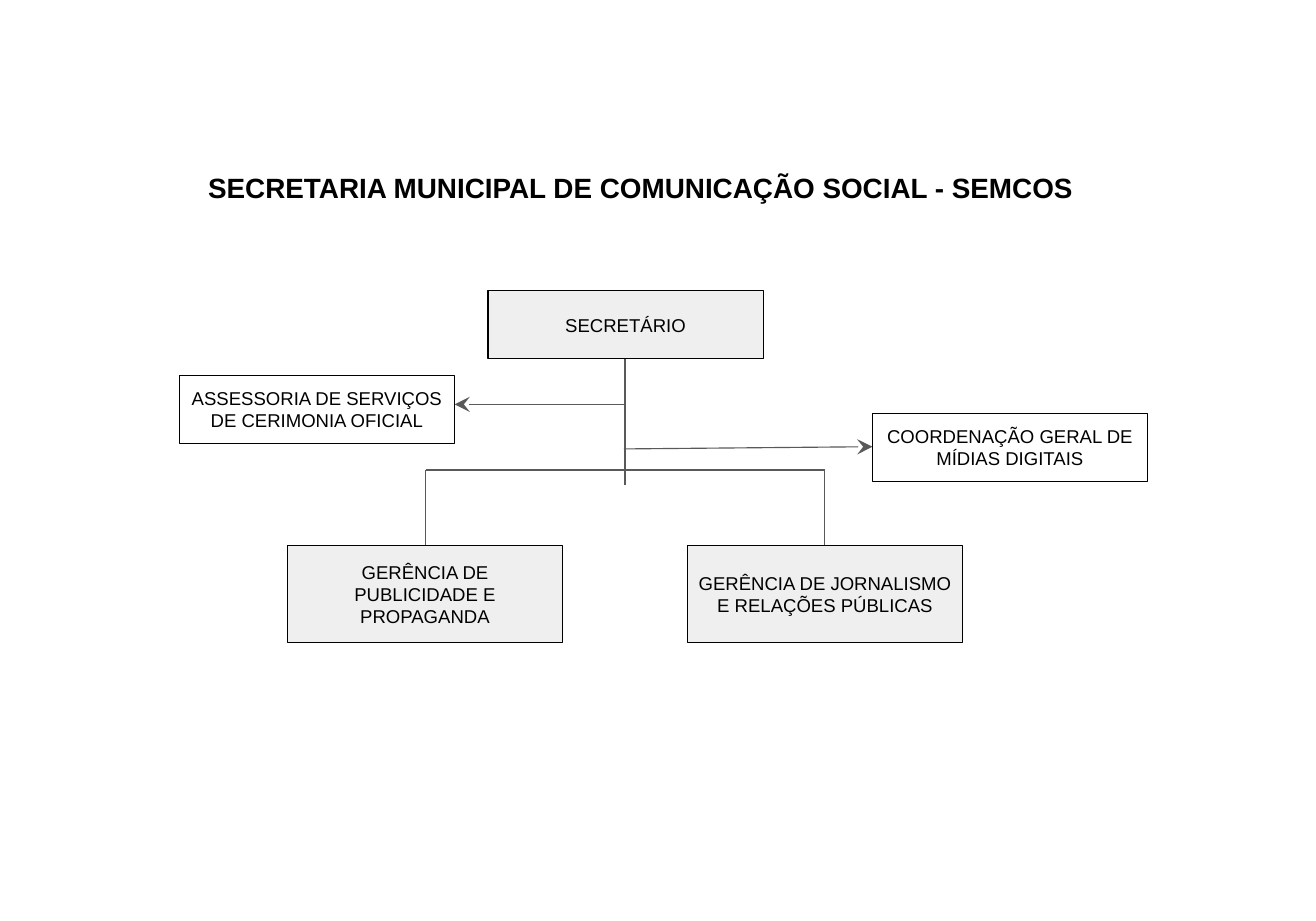
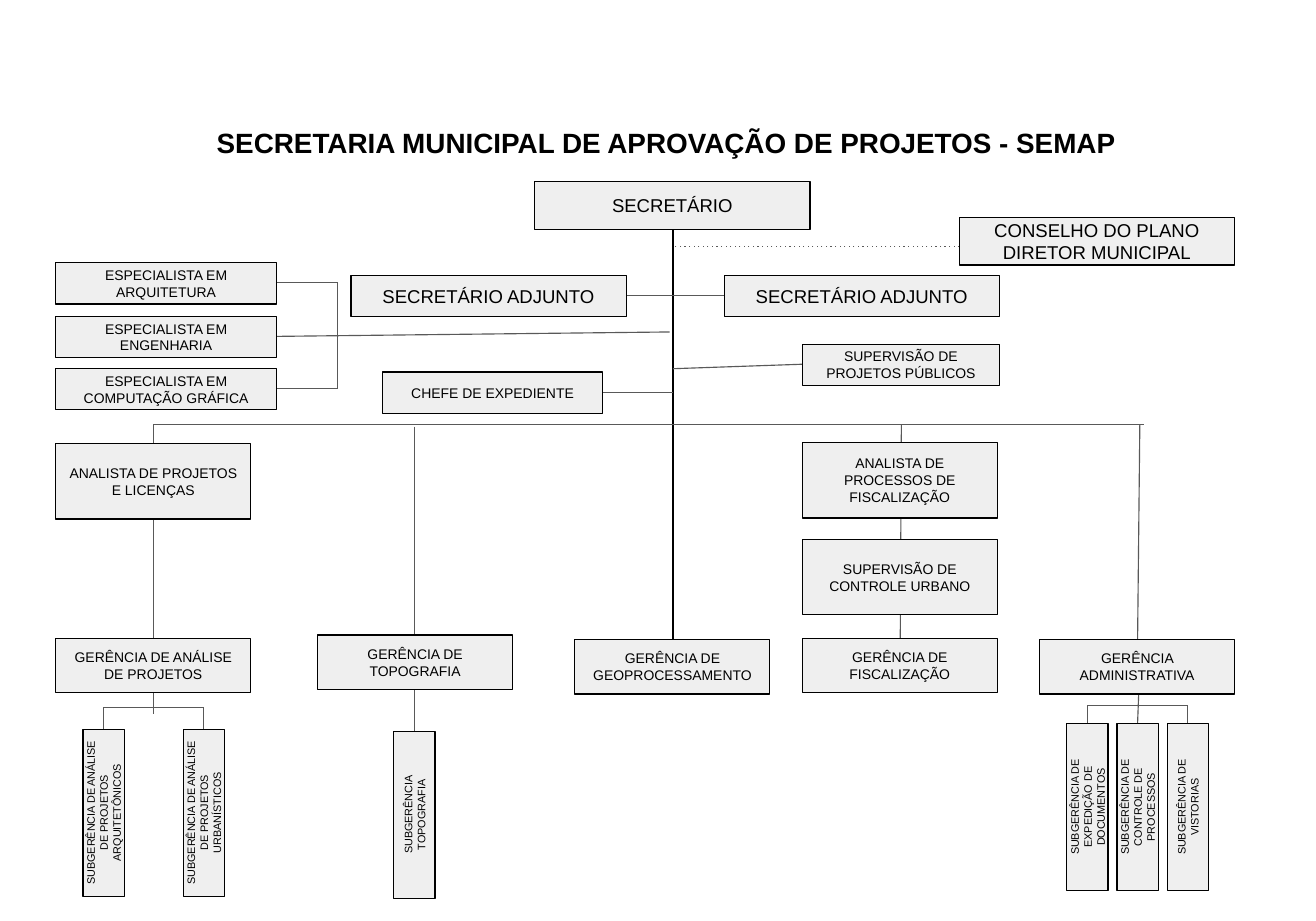
from dataclasses import dataclass

from lxml.etree import SubElement
from pptx import Presentation
from pptx.dml.color import RGBColor
from pptx.enum.shapes import MSO_CONNECTOR, MSO_SHAPE
from pptx.enum.text import MSO_ANCHOR, MSO_AUTO_SIZE, PP_ALIGN
from pptx.oxml.ns import qn
from pptx.slide import Slide
from pptx.text.text import TextFrame
from pptx.util import Emu, Mm, Pt

SLIDE_WIDTH, SLIDE_HEIGHT = Mm(300), Mm(210)
EMU_PER_PX = 9144  # 100 px to the inch
FONT = "Arial"
BLACK, DARK_GREY, LIGHT_GREY, WHITE = "000000", "595959", "EFEFEF", "FFFFFF"
LINE_WIDTH = Pt(0.75)
MARGIN = 10
TITLE_SIZE = 18
TITLE_ONLY_LAYOUT = 5


@dataclass(frozen=True)
class BoxStyle:
    width: int
    height: int
    font_size: int
    fill: str = LIGHT_GREY
    rotation: int = 0


@dataclass(frozen=True)
class Box:
    text: str
    left: int
    top: int
    style: BoxStyle


@dataclass(frozen=True)
class Route:
    points: tuple[tuple[int, int], ...]
    color: str = DARK_GREY
    arrow: bool = False
    dotted: bool = False


@dataclass(frozen=True)
class Title:
    text: str
    left: int
    top: int
    width: int
    height: int


@dataclass(frozen=True)
class Chart:
    title: Title
    boxes: list[Box]
    routes: list[Route]


def px(length: int) -> Emu:
    return Emu(length * EMU_PER_PX)


def rgb(color: str) -> RGBColor:
    return RGBColor.from_string(color)


def write_text(frame: TextFrame, text: str, size: int, anchor: MSO_ANCHOR, bold: bool = False) -> None:
    frame.word_wrap = True
    frame.auto_size = MSO_AUTO_SIZE.NONE
    frame.vertical_anchor = anchor
    frame.margin_left = frame.margin_right = px(MARGIN)
    frame.margin_top = frame.margin_bottom = px(MARGIN)
    frame.text = text
    paragraph = frame.paragraphs[0]
    paragraph.alignment = PP_ALIGN.CENTER
    font = paragraph.runs[0].font
    font.name, font.size, font.bold = FONT, Pt(size), bold
    font.color.rgb = rgb(BLACK)


def add_title(slide: Slide, title: Title) -> None:
    shape = slide.shapes.title
    shape.left, shape.top = px(title.left), px(title.top)
    shape.width, shape.height = px(title.width), px(title.height)
    write_text(shape.text_frame, title.text, TITLE_SIZE, MSO_ANCHOR.TOP, bold=True)


def add_box(slide: Slide, box: Box) -> None:
    style = box.style
    shape = slide.shapes.add_shape(
        MSO_SHAPE.RECTANGLE, px(box.left), px(box.top), px(style.width), px(style.height)
    )
    shape.shadow.inherit = False
    shape.rotation = style.rotation
    shape.fill.solid()
    shape.fill.fore_color.rgb = rgb(style.fill)
    shape.line.color.rgb = rgb(BLACK)
    shape.line.width = LINE_WIDTH
    write_text(shape.text_frame, box.text, style.font_size, MSO_ANCHOR.MIDDLE)


def add_route(slide: Slide, route: Route) -> None:
    """Join the points with straight connectors; an arrow ends at the last point."""
    for (x1, y1), (x2, y2) in zip(route.points, route.points[1:]):
        connector = slide.shapes.add_connector(
            MSO_CONNECTOR.STRAIGHT, px(x1), px(y1), px(x2), px(y2)
        )
        connector.line.color.rgb = rgb(route.color)
        connector.line.width = LINE_WIDTH
        properties = connector.element.spPr
        outline = properties.find(qn("a:ln"))
        if route.dotted:
            SubElement(outline, qn("a:prstDash"), val="dot")
        SubElement(properties, qn("a:effectLst"))
    if route.arrow:
        SubElement(outline, qn("a:tailEnd"), type="stealth", w="lg", len="lg")


def bracket_down(left: int, right: int, top: int, bottom: int) -> Route:
    return Route(((left, bottom), (left, top), (right, top), (right, bottom)))


def communication_chart() -> Chart:
    head = BoxStyle(247, 61, 12)
    adviser = BoxStyle(247, 61, 12, fill=WHITE)
    department = BoxStyle(247, 87, 12)
    trunk = 561
    return Chart(
        Title("SECRETARIA MUNICIPAL DE COMUNICAÇÃO SOCIAL - SEMCOS", 76, 143, 998, 94),
        [
            Box("SECRETÁRIO", 438, 261, head),
            Box("ASSESSORIA DE SERVIÇOS DE CERIMONIA OFICIAL", 161, 337, adviser),
            Box("COORDENAÇÃO GERAL DE MÍDIAS DIGITAIS", 783, 371, adviser),
            Box("GERÊNCIA DE PUBLICIDADE E PROPAGANDA", 258, 490, department),
            Box("GERÊNCIA DE JORNALISMO E RELAÇÕES PÚBLICAS", 617, 490, department),
        ],
        [
            Route(((trunk, 322), (trunk, 435))),
            Route(((trunk, 363), (408, 363)), arrow=True),
            Route(((560, 403), (783, 401)), arrow=True),
            bracket_down(382, 740, 422, 490),
        ],
    )


def projects_chart() -> Chart:
    head = BoxStyle(247, 43, 12)
    deputy = BoxStyle(247, 37, 12)
    specialist = BoxStyle(198, 37, 9)
    supervisor = BoxStyle(177, 37, 9)
    analyst = BoxStyle(175, 68, 9)
    department = BoxStyle(175, 49, 9)
    section = BoxStyle(150, 37, 7, rotation=270)
    trunk, rail = 604, 381
    analysis, topography, inspection, administration = 138, 372, 808, 1021

    def sections(first_center: int, pitch: int, top: int, *names: str) -> list[Box]:
        left = first_center - section.width // 2
        return [Box(name, left + index * pitch, top, section) for index, name in enumerate(names)]

    specialists = ("ARQUITETURA", "ENGENHARIA", "COMPUTAÇÃO GRÁFICA")
    boxes = [
        Box("SECRETÁRIO", 480, 163, head),
        Box("CONSELHO DO PLANO DIRETOR MUNICIPAL", 861, 195, head),
        Box("SECRETÁRIO ADJUNTO", 315, 247, deputy),
        Box("SECRETÁRIO ADJUNTO", 650, 247, deputy),
        *(
            Box(f"ESPECIALISTA EM {field}", 50, 236 + round(index * 47.5), specialist)
            for index, field in enumerate(specialists)
        ),
        Box("CHEFE DE EXPEDIENTE", 343, 334, specialist),
        Box("SUPERVISÃO DE PROJETOS PÚBLICOS", 720, 309, supervisor),
        Box("ANALISTA DE PROJETOS E LICENÇAS", 50, 398, analyst),
        Box("ANALISTA DE PROCESSOS DE FISCALIZAÇÃO", 720, 397, analyst),
        Box("SUPERVISÃO DE CONTROLE URBANO", 720, 484, analyst),
        Box("GERÊNCIA DE ANÁLISE DE PROJETOS", 50, 573, department),
        Box("GERÊNCIA DE TOPOGRAFIA", 285, 570, department),
        Box("GERÊNCIA DE GEOPROCESSAMENTO", 516, 574, department),
        Box("GERÊNCIA DE FISCALIZAÇÃO", 720, 573, department),
        Box("GERÊNCIA ADMINISTRATIVA", 933, 574, department),
        *sections(
            93, 90, 711,
            "SUBGERÊNCIA DE ANÁLISE DE PROJETOS ARQUITETÔNICOS",
            "SUBGERÊNCIA DE ANÁLISE DE PROJETOS URBANÍSTICOS",
        ),
        *sections(topography, 0, 713, "SUBGERÊNCIA TOPOGRAFIA"),
        *sections(
            976, 45, 706,
            "SUBGERÊNCIA DE EXPEDIÇÃO DE DOCUMENTOS",
            "SUBGERÊNCIA DE CONTROLE DE PROCESSOS",
            "SUBGERÊNCIA DE VISTORIAS",
        ),
    ]
    routes = [
        Route(((trunk, 205), (trunk, 574)), color=BLACK),
        Route(((861, 221), (trunk, 221)), dotted=True),
        Route(((562, 265), (650, 265))),
        Route(((248, 254), (303, 254), (303, 349), (248, 349))),
        Route(((601, 298), (248, 302))),
        Route(((720, 327), (trunk, 331))),
        Route(((541, 352), (trunk, 352))),
        Route(((analysis, 398), (analysis, rail), (1027, rail))),
        Route(((analysis, 466), (analysis, 573))),
        Route(((topography, 383), (topography, 570))),
        Route(((809, rail), (inspection, 573))),
        Route(((1023, rail), (administration, 574))),
        Route(((analysis, 622), (analysis, 641))),
        bracket_down(93, 183, 635, 654),
        Route(((topography, 619), (topography, 656))),
        Route(((1022, 623), (administration, 649))),
        bracket_down(976, 1066, 633, 649),
    ]
    title = Title("SECRETARIA MUNICIPAL DE APROVAÇÃO DE PROJETOS - SEMAP", 36, 103, 1124, 49)
    return Chart(title, boxes, routes)


def main() -> None:
    presentation = Presentation()
    presentation.slide_width, presentation.slide_height = SLIDE_WIDTH, SLIDE_HEIGHT
    for chart in (communication_chart(), projects_chart()):
        slide = presentation.slides.add_slide(presentation.slide_layouts[TITLE_ONLY_LAYOUT])
        add_title(slide, chart.title)
        for route in chart.routes:
            add_route(slide, route)
        for box in chart.boxes:
            add_box(slide, box)
    presentation.save("out.pptx")


if __name__ == "__main__":
    main()
